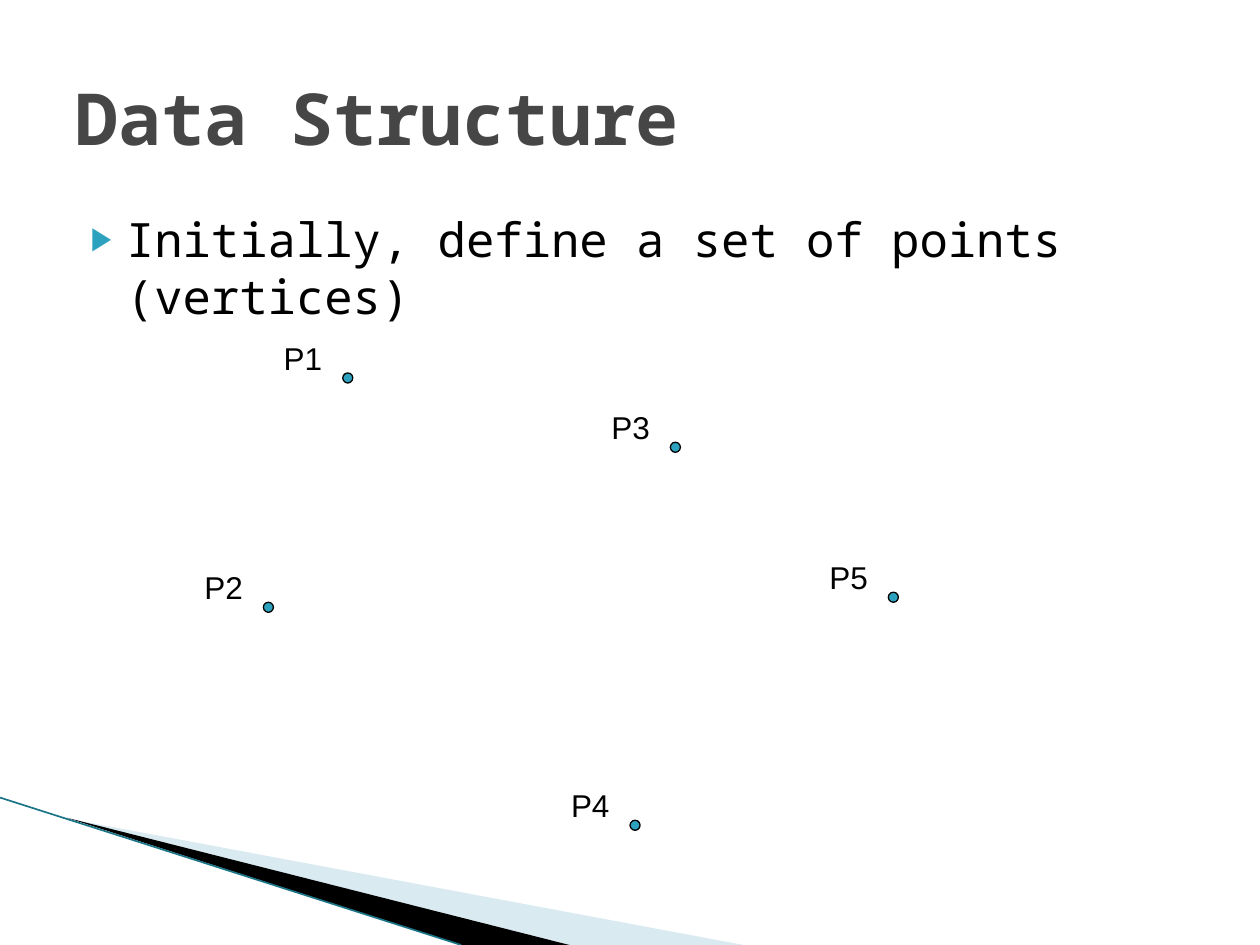
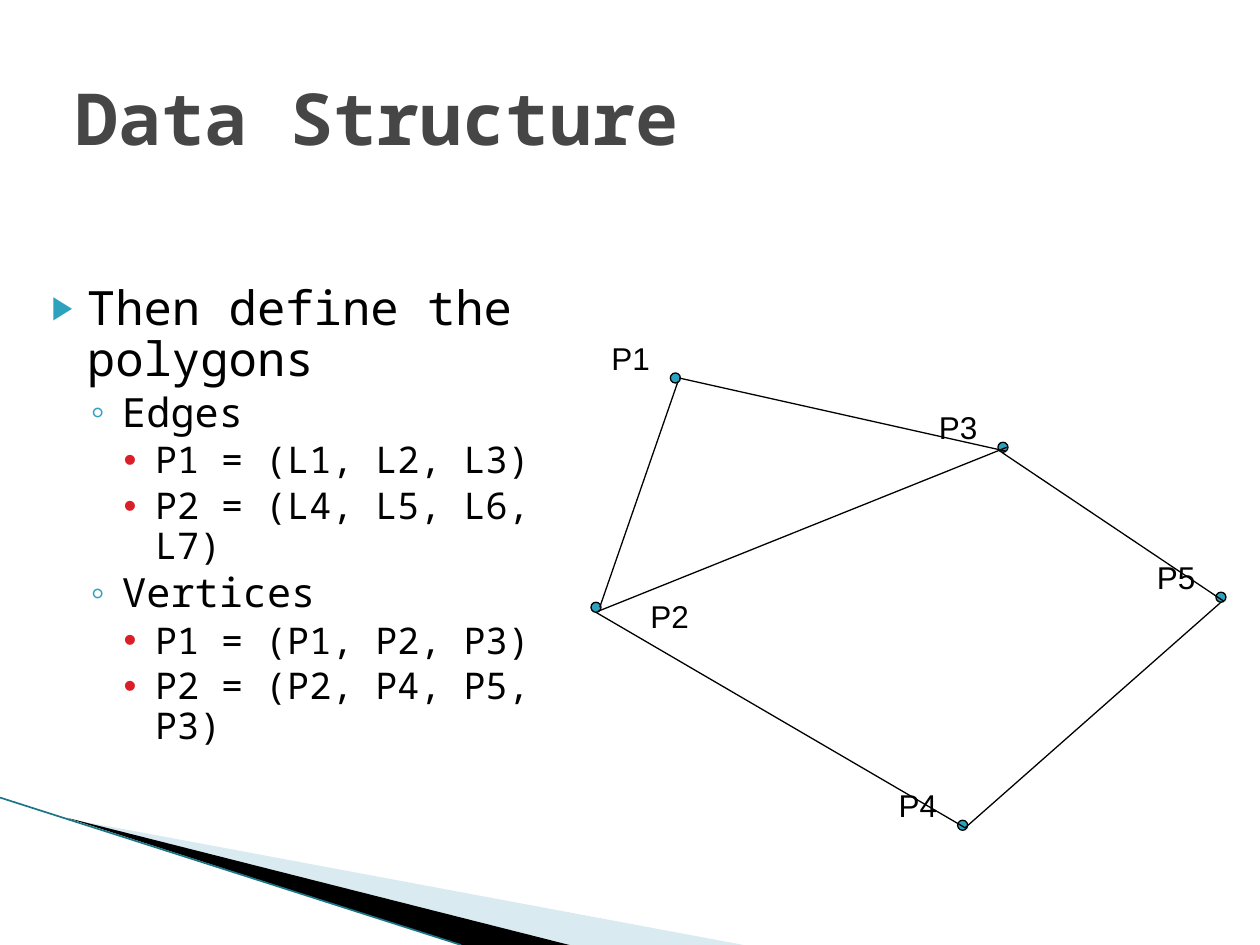
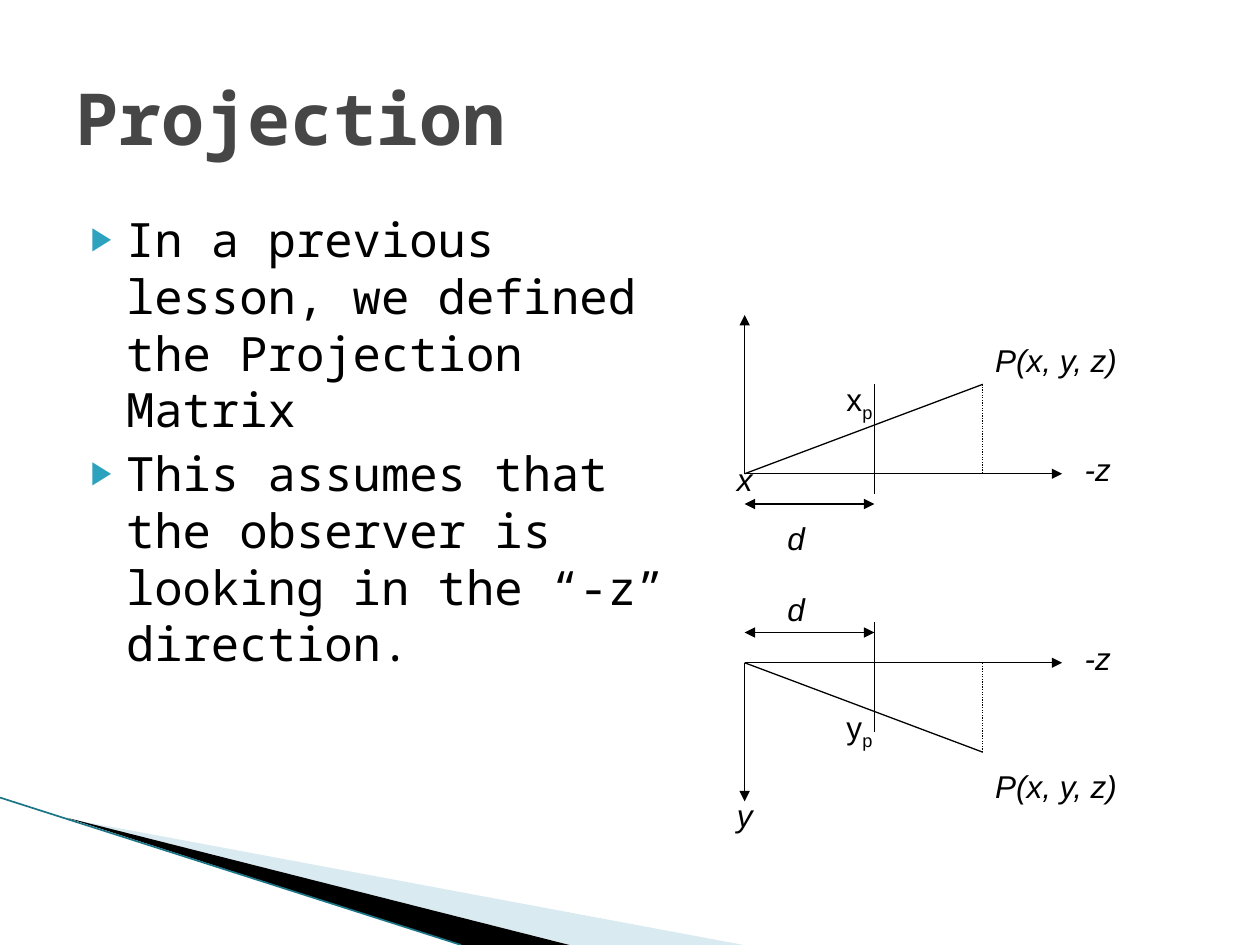
from lxml import etree
from pptx import Presentation
from pptx.dml.color import RGBColor
from pptx.enum.dml import MSO_LINE
from pptx.enum.shapes import MSO_CONNECTOR, MSO_SHAPE
from pptx.enum.text import MSO_AUTO_SIZE, PP_ALIGN
from pptx.oxml.ns import qn
from pptx.util import Inches, Pt

STRAIGHT, OVAL, DOTTED = MSO_CONNECTOR.STRAIGHT, MSO_SHAPE.OVAL, MSO_LINE.ROUND_DOT
LEFT, CENTER = PP_ALIGN.LEFT, PP_ALIGN.CENTER
NO_FIT = MSO_AUTO_SIZE.NONE

BLACK = RGBColor(0x00, 0x00, 0x00)
GREY = RGBColor(0x46, 0x46, 0x46)
TEAL = RGBColor(0x2D, 0xA2, 0xBF)
DEEP_TEAL = RGBColor(0x1B, 0x75, 0x87)
PALE_BLUE = RGBColor(0xD9, 0xEA, 0xF1)
RED = RGBColor(0xDA, 0x1F, 0x28)
MONO, SANS = "Noto Sans Mono", "Arial"

# per list level: bullet, its colour, its size in %, left margin, hanging indent, text size, space before
LEVELS = [
    ("▶", TEAL, 68, 0.4, 0.28, 27, 4),
    ("◦", TEAL, 100, 0.68, 0.25, 23, 3.2),
    ("•", RED, 100, 0.94, 0.25, 21, 3.5),
]


def add_text(p, text, size=18, font=SANS, color=BLACK, bold=False, italic=False, align=LEFT):
    p.alignment = align
    r = p.add_run()
    r.text = text
    r.font.size, r.font.name = Pt(size), font
    r.font.bold, r.font.italic = bold, italic
    r.font.color.rgb = color
    return r


def add_line(s, start, end, color=BLACK, width=0.75, dash=None, arrows=()):
    """Draw a straight line; arrows names its pointed ends, headEnd before tailEnd."""
    line = s.shapes.add_connector(STRAIGHT, *(Inches(v) for v in (*start, *end)))
    line.line.color.rgb, line.line.width = color, Pt(width)
    if dash:
        line.line.dash_style = dash
    for arrow in arrows:
        etree.SubElement(line.line._get_or_add_ln(), qn("a:" + arrow), type="triangle")
    etree.SubElement(line._element.spPr, qn("a:effectLst"))
    return line


prs = Presentation()
prs.slide_width, prs.slide_height = Inches(10), Inches(7.5)

# title, body box, line spacing, list of (level, text)
PAGES = [
    ("Data Structure", (0.5, 1.62, 9, 4.95), 1.0,
     [(0, "Initially, define a set of points (vertices)")]),
    ("Data Structure", (0.19, 2.21, 4.81, 4.5), 0.9,
     [(0, "Then define the polygons"),
      (1, "Edges"), (2, "P1 = (L1, L2, L3)"), (2, "P2 = (L4, L5, L6, L7)"),
      (1, "Vertices"), (2, "P1 = (P1, P2, P3)"), (2, "P2 = (P2, P4, P5, P3)")]),
    ("Projection", (0.5, 1.62, 4.97, 4.95), 1.0,
     [(0, "In a previous lesson, we defined the Projection Matrix"),
      (0, "This assumes that the observer is looking in the “-z” direction.")]),
]
slides = []
for title, box, spacing, items in PAGES:
    s = prs.slides.add_slide(prs.slide_layouts[1])
    slides.append(s)
    head, body = s.placeholders
    for holder, place in ((head, (0.5, 0.3, 9, 1.25)), (body, box)):
        holder.left, holder.top, holder.width, holder.height = (Inches(v) for v in place)
        holder.text_frame.auto_size = NO_FIT
    add_text(head.text_frame.paragraphs[0], title, size=41, font=MONO, color=GREY, bold=True)
    tf = body.text_frame
    for i, (level, text) in enumerate(items):
        bullet, color, percent, margin, hang, size, before = LEVELS[level]
        p = tf.add_paragraph() if i else tf.paragraphs[0]
        add_text(p, text, size=size, font=MONO)
        p.level, p.line_spacing, p.space_before = level, spacing, Pt(before)
        pPr = p._p.get_or_add_pPr()
        pPr.set("marL", str(Inches(margin)))
        pPr.set("indent", str(-Inches(hang)))
        etree.SubElement(etree.SubElement(pPr, qn("a:buClr")), qn("a:srgbClr"), val=str(color))
        etree.SubElement(pPr, qn("a:buSzPct"), val=str(percent * 1000))
        etree.SubElement(pPr, qn("a:buFont"), typeface=SANS)
        etree.SubElement(pPr, qn("a:buChar"), char=bullet)

points_slide, polygons_slide, projection_slide = slides

# corner wedges, moved to the master behind everything
decor = []
for color, corners in (
    (PALE_BLUE, [(0.55, 6.5), (5.9, 7.5), (4.52, 7.5)]),
    (BLACK, [(0.53, 6.49), (4.52, 7.5), (3.66, 7.5)]),
):
    outline = [(Inches(x), Inches(y)) for x, y in corners]
    builder = points_slide.shapes.build_freeform(*outline[0])
    builder.add_line_segments(outline[1:])
    wedge = builder.convert_to_shape()
    wedge.fill.solid()
    wedge.fill.fore_color.rgb = color
    wedge.line.fill.background()
    wedge.shadow.inherit = False
    decor.append(wedge)
decor.append(add_line(points_slide, (0, 6.33), (3.66, 7.5), color=DEEP_TEAL, width=0.95))
for i, shape in enumerate(decor):
    prs.slide_master.shapes.element.insert(2 + i, shape._element)

# labels: slide, left, top, width, text, subscript, italic, alignment
labels = []

# vertices, shifted right on the second slide
VERTICES = {"P1": (2.72, 2.96), "P2": (2.09, 4.78), "P3": (5.32, 3.51),
            "P4": (5, 6.51), "P5": (7.05, 4.7)}
for s, shift in ((points_slide, 0), (polygons_slide, 2.6)):
    for name, (x, y) in VERTICES.items():
        x += shift
        dot = s.shapes.add_shape(OVAL, Inches(x), Inches(y), Inches(0.08), Inches(0.08))
        dot.fill.solid()
        dot.fill.fore_color.rgb = TEAL
        dot.line.color.rgb, dot.line.width = BLACK, Pt(0.75)
        dot.shadow.inherit = False
        left, top = x - 0.63, y - 0.32
        if s is polygons_slide and name == "P2":
            left, top = 5, 4.69
        labels.append((s, left, top, 0.63, name, "", False, CENTER))

EDGES = [
    ((5.38, 3.03), (4.76, 4.82)), ((4.75, 4.85), (7.99, 3.55)), ((7.98, 3.58), (5.39, 3)),
    ((4.73, 4.86), (7.66, 6.57)), ((7.66, 6.57), (9.69, 4.78)), ((9.71, 4.77), (7.95, 3.59)),
]
for start, end in EDGES:
    add_line(polygons_slide, start, end)

# two projection diagrams sharing their columns
s = projection_slide
ORIGIN, PLANE, POINT, AXIS_END = 5.91, 6.94, 7.8, 8.43
# axis name, z axis, axis tip, point, plane top, distance arrow,
# then the tops of the labels: point, projected point, distance, axis
DIAGRAMS = [
    ("x", 3.76, 2.5, 3.05, 3.05, 4, 2.66, 2.97, 4.07, 3.6),
    ("y", 5.26, 6.36, 5.97, 4.94, 5.02, 6.04, 5.57, 4.63, 6.27),
]
for name, axis, tip, point, plane, gap, point_top, image_top, gap_top, name_top in DIAGRAMS:
    add_line(s, (ORIGIN, axis), (AXIS_END, axis), arrows=["tailEnd"])
    add_line(s, (ORIGIN, axis), (ORIGIN, tip), arrows=["tailEnd"])
    add_line(s, (ORIGIN, axis), (POINT, point))
    add_line(s, (POINT, point), (POINT, axis), dash=DOTTED)
    add_line(s, (PLANE, plane), (PLANE, plane + 0.87))
    add_line(s, (ORIGIN, gap), (PLANE, gap), arrows=["headEnd", "tailEnd"])
    labels += [
        (s, 8.51, axis - 0.24, 0.74, "-z", "", True, LEFT),
        (s, POINT, point_top, 1.49, "P(x, y, z)", "", True, LEFT),
        (s, 6.62, image_top, 0.63, name, "p", False, LEFT),
        (s, 6.15, gap_top, 0.55, "d", "", True, LEFT),
        (s, 5.75, name_top, 0.39, name, "", True, LEFT),
    ]

for s, left, top, width, text, subscript, italic, align in labels:
    box = s.shapes.add_textbox(Inches(left), Inches(top), Inches(width), Inches(0.4))
    tf = box.text_frame
    tf.word_wrap = True
    p = tf.paragraphs[0]
    add_text(p, text, italic=italic, align=align)
    if subscript:
        r = add_text(p, subscript)
        r.font._element.set("baseline", "-25000")

prs.save("out.pptx")
